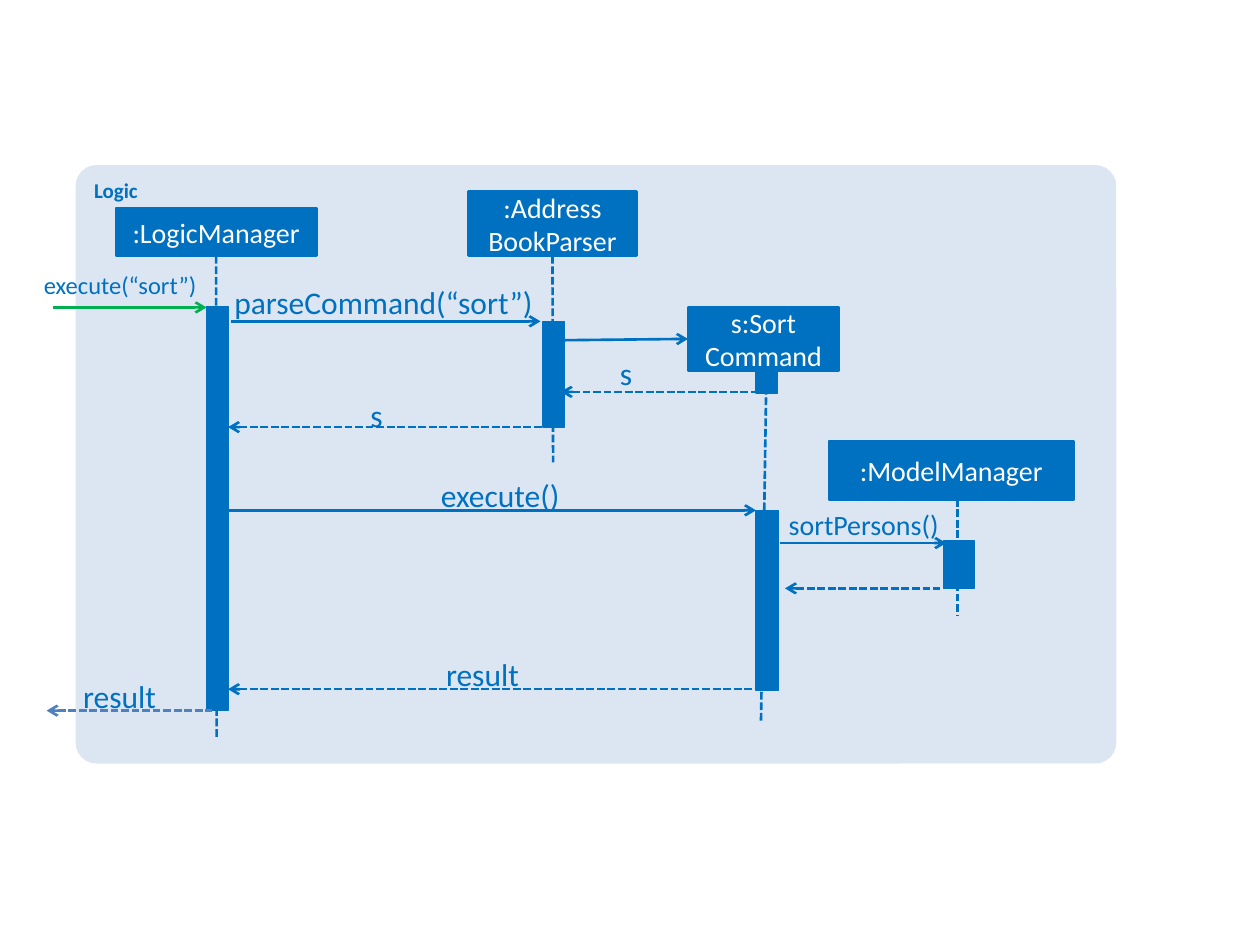
from dataclasses import dataclass
from typing import Optional

from lxml.etree import SubElement
from pptx import Presentation
from pptx.dml.color import RGBColor
from pptx.enum.dml import MSO_LINE
from pptx.enum.shapes import MSO_CONNECTOR, MSO_SHAPE
from pptx.enum.text import MSO_ANCHOR, MSO_AUTO_SIZE, PP_ALIGN
from pptx.oxml.ns import qn
from pptx.util import Inches, Pt

COLORS = {
    "blue": "0070C0",
    "panel": "DCE6F2",
    "white": "FFFFFF",
    "call": "00B050",
    "reply": "4F81BD",
}


@dataclass
class Participant:
    label: str
    head: tuple
    lifeline: tuple
    bars: list
    joined: Optional[str] = "head"


@dataclass
class Message:
    start: tuple
    end: tuple
    reply: bool = False
    color: str = "blue"


@dataclass
class Label:
    text: str
    box: tuple
    size: int = 18
    align: PP_ALIGN = PP_ALIGN.LEFT


PARTICIPANTS = [
    Participant(":LogicManager", (0.92, 1.65, 1.59, 0.38),
                (1.72, 2.05, 1.72, 5.86), [(1.64, 2.43, 0.17, 3.21)]),
    Participant(":Address\nBookParser", (3.72, 1.52, 1.33, 0.51),
                (4.39, 2.05, 4.39, 3.67), [(4.31, 2.55, 0.17, 0.84)]),
    Participant("s:Sort\vCommand", (5.46, 2.44, 1.2, 0.5),
                (6.08, 2.82, 6.04, 5.72),
                [(6, 2.82, 0.17, 0.3), (6, 4.05, 0.18, 1.43)], "bar"),
    Participant(":ModelManager", (6.58, 3.5, 1.94, 0.47),
                (7.6, 3.96, 7.6, 4.88), [(7.49, 4.29, 0.24, 0.38)], None),
]

CREATE = Message((4.48, 2.7), (5.46, 2.7))

MESSAGES = [
    Message((0.42, 2.44), (1.64, 2.44), color="call"),
    Message((1.83, 2.55), (4.29, 2.55)),
    Message((4.45, 3.11), (6.08, 3.11), True),
    Message((1.81, 3.39), (4.37, 3.39), True),
    Message((1.81, 4.05), (6, 4.05)),
    Message((6.19, 4.31), (7.51, 4.31)),
    Message((6.23, 4.67), (7.46, 4.67), True),
    Message((1.81, 5.47), (6, 5.47), True),
    Message((0.37, 5.64), (1.68, 5.64), True, "reply"),
]

LABELS = [
    Label("execute(“sort”)", (0, 2.14, 1.56, 0.24), 14, PP_ALIGN.RIGHT),
    Label("parseCommand(“sort”)", (1.86, 2.25, 2.42, 0.3)),
    Label("s", (4.92, 2.81, 0.24, 0.3)),
    Label("s", (2.94, 3.14, 0.24, 0.3)),
    Label("execute()", (3.5, 3.78, 1.17, 0.3)),
    Label("sortPersons()", (6.26, 4.03, 1.26, 0.27), 16),
    Label("result", (3.54, 5.2, 0.68, 0.3)),
    Label("result", (0.66, 5.37, 0.83, 0.3)),
]


def rgb(name: str) -> RGBColor:
    return RGBColor.from_string(COLORS[name])


def write(tf, text: str, size: int, color: str, align: PP_ALIGN, bold: bool = False) -> None:
    tf.word_wrap = True
    tf.text = text
    formats = {"name": "Calibri", "size": Pt(size), "bold": bold}
    for p in tf.paragraphs:
        p.alignment = align
        for r in p.runs:
            for key, value in formats.items():
                setattr(r.font, key, value)
            r.font.color.rgb = rgb(color)


def add_block(slide, box: tuple, fill: str = "blue", line_width: float = 0,
              kind: MSO_SHAPE = MSO_SHAPE.RECTANGLE):
    sp = slide.shapes.add_shape(kind, *map(Inches, box))
    sp.shadow.inherit = False
    sp.fill.solid()
    sp.fill.fore_color.rgb = rgb(fill)
    if line_width:
        sp.line.color.rgb = rgb(fill)
        sp.line.width = Pt(line_width)
    else:
        sp.line.fill.background()
    return sp


def add_line(slide, points: tuple, color: str = "blue", dashed: bool = False):
    cxn = slide.shapes.add_connector(MSO_CONNECTOR.STRAIGHT, *map(Inches, points))
    cxn.line.color.rgb = rgb(color)
    cxn.line.width = Pt(1.5)
    if dashed:
        cxn.line.dash_style = MSO_LINE.SQUARE_DOT
    SubElement(cxn._element.spPr, qn("a:effectLst"))
    return cxn


def add_message(slide, msg: Message):
    cxn = add_line(slide, msg.start + msg.end, msg.color, msg.reply)
    end = "a:headEnd" if msg.reply else "a:tailEnd"
    SubElement(cxn.line._get_or_add_ln(), qn(end), type="arrow")
    return cxn


def add_participant(slide, part: Participant):
    life = add_line(slide, part.lifeline, dashed=True)
    bars = [add_block(slide, bar, line_width=0.75) for bar in part.bars]
    head = add_block(slide, part.head, line_width=1.5)
    head.text_frame.vertical_anchor = MSO_ANCHOR.MIDDLE
    write(head.text_frame, part.label, 16, "white", PP_ALIGN.CENTER)
    if part.joined == "head":
        life.begin_connect(head, 2)
    elif part.joined == "bar":
        life.begin_connect(bars[0], 0)
    return head


def add_label(slide, label: Label) -> None:
    tf = slide.shapes.add_textbox(*map(Inches, label.box)).text_frame
    for side in ("left", "top", "right", "bottom"):
        setattr(tf, f"margin_{side}", 0)
    write(tf, label.text, label.size, "blue", label.align)
    tf.auto_size = MSO_AUTO_SIZE.SHAPE_TO_FIT_TEXT


def main() -> None:
    prs = Presentation()
    prs.slide_width, prs.slide_height = Inches(10), Inches(7.5)
    slide = prs.slides.add_slide(prs.slide_layouts[6])

    panel = add_block(slide, (0.6, 1.31, 8.26, 4.75), "panel",
                      kind=MSO_SHAPE.ROUNDED_RECTANGLE)
    panel.adjustments[0] = 0.035
    panel.text_frame.vertical_anchor = MSO_ANCHOR.TOP
    write(panel.text_frame, "Logic", 12, "blue", PP_ALIGN.LEFT, bold=True)

    heads = [add_participant(slide, part) for part in PARTICIPANTS]
    add_message(slide, CREATE).end_connect(heads[2], 1)
    for msg in MESSAGES:
        add_message(slide, msg)
    for label in LABELS:
        add_label(slide, label)
    prs.save("out.pptx")


if __name__ == "__main__":
    main()
